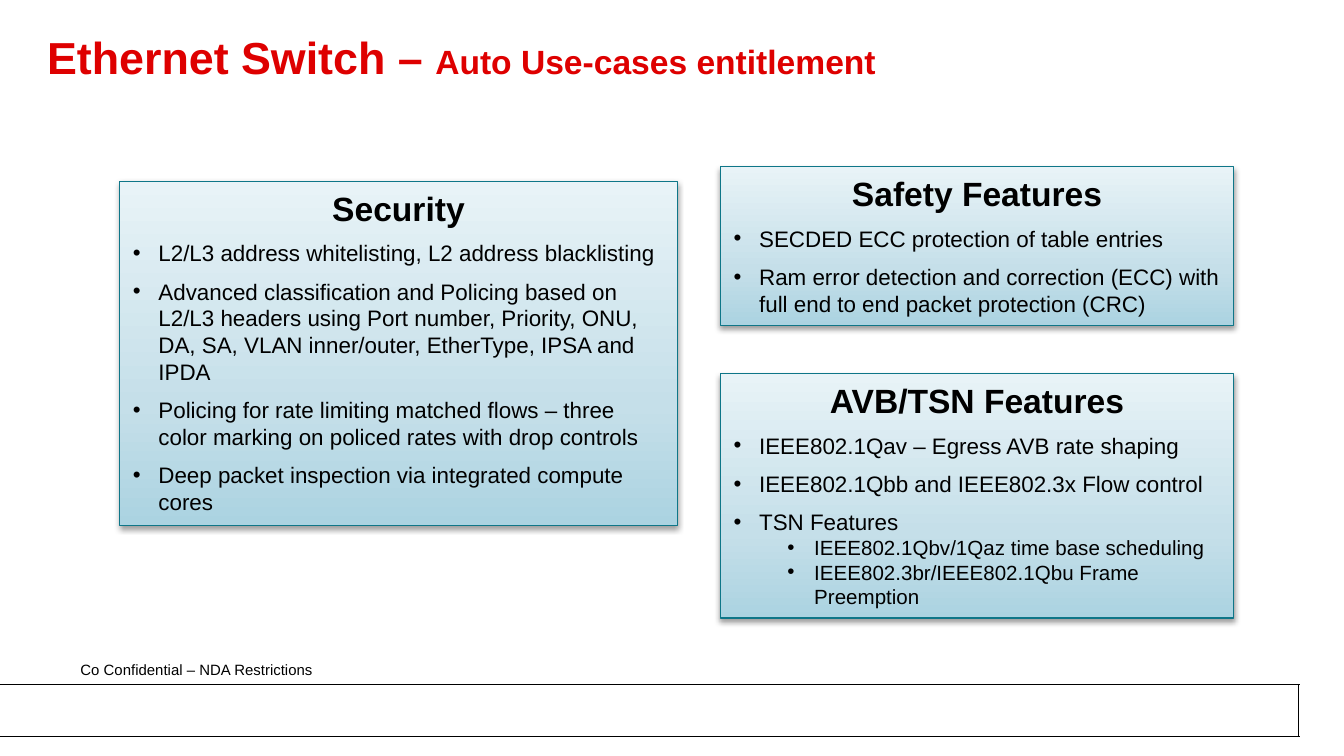
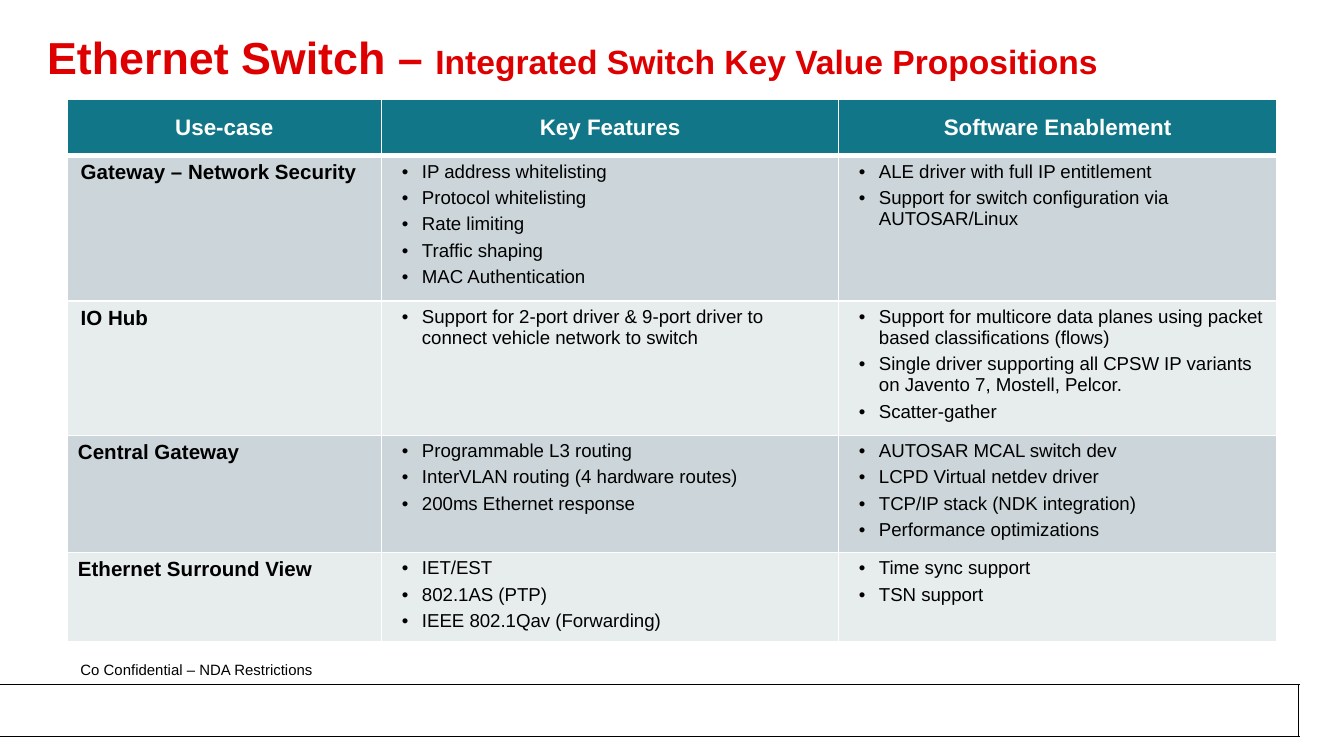
from copy import deepcopy

from pptx import Presentation
from pptx.dml.color import RGBColor
from pptx.enum.shapes import MSO_CONNECTOR as Connector, MSO_SHAPE as Shape
from pptx.enum.text import MSO_ANCHOR as Anchor, MSO_AUTO_SIZE as AutoSize, PP_ALIGN as Align
from pptx.oxml.ns import qn
from pptx.oxml.xmlchemy import OxmlElement
from pptx.util import Inches, Pt

COLORS = {
    "title": "DE0000", "text": "000000", "white": "FFFFFF", "edge": "0E7688",
    "header": "117788", "odd": "CCD6DA", "even": "E7ECED",
}
GRADIENT = [(0, "ABD3E1"), (0.35, "C5DFE9"), (1, "E8F3F7")]
FONT = "Arial"
TITLE = "Ethernet Switch – "
FOOTER = "Co Confidential – NDA Restrictions"
BANDS = [(0.05, 5.19, 9.56, 0.38), (0, 5.09, 9.66, 0.38)]
RULES = [(-0.04, 5.48, 9.67, 5.48), (-0.04, 5.09, 9.67, 5.09), (9.66, 5.48, 9.66, 5.09)]

BULLETS = {
    "item": {"size": 12, "left": 0.19, "hang": 0.19, "before": 6},
    "detail": {"size": 11, "left": 0.6, "hang": 0.2, "before": 0},
    "cell": {"size": 10, "left": 0.2, "hang": 0.15, "before": 3},
}

USE_CASES = "Auto Use-cases entitlement"
PANELS = [
    ("Security", (0.89, 1.35, 4.15, 2.56), [
        ("item", "L2/L3 address whitelisting, L2 address blacklisting"),
        ("item", "Advanced classification and Policing based on L2/L3 headers using Port number, "
                 "Priority, ONU, DA, SA, VLAN inner/outer, EtherType, IPSA and IPDA"),
        ("item", "Policing for rate limiting matched flows – three color marking on policed rates "
                 "with drop controls"),
        ("item", "Deep packet inspection via integrated compute cores"),
    ]),
    ("AVB/TSN Features", (5.36, 2.78, 3.82, 1.82), [
        ("item", "IEEE802.1Qav – Egress AVB rate shaping"),
        ("item", "IEEE802.1Qbb and IEEE802.3x Flow control"),
        ("item", "TSN Features"),
        ("detail", "IEEE802.1Qbv/1Qaz time base scheduling"),
        ("detail", "IEEE802.3br/IEEE802.1Qbu Frame Preemption"),
    ]),
    ("Safety Features", (5.36, 1.24, 3.82, 1.18), [
        ("item", "SECDED ECC protection of table entries"),
        ("item", "Ram error detection and correction (ECC) with full end to end packet "
                 "protection (CRC)"),
    ]),
]

PROPOSITIONS = "Integrated Switch Key Value Propositions"
TABLE_AREA = (0.5, 0.74, 9, 2.73)
COLUMN_WIDTHS = [2.34, 3.4, 3.26]
ROW_HEIGHTS = [0.42, 0.82, 0.72, 0.35, 0.42]
HEADINGS = ["Use-case", "Key Features", "Software Enablement"]
ROWS = [
    ("Gateway – Network Security", 0.1,
     ["IP address whitelisting", "Protocol whitelisting", "Rate limiting", "Traffic shaping",
      "MAC Authentication"],
     ["ALE driver with full IP entitlement",
      "Support for switch configuration via AUTOSAR/Linux"]),
    ("IO Hub", 0.1,
     ["Support for 2-port driver & 9-port driver to connect vehicle network to switch"],
     ["Support for multicore data planes using packet based classifications (flows)",
      "Single driver supporting all CPSW IP variants on Javento 7, Mostell, Pelcor.",
      "Scatter-gather"]),
    ("Central Gateway", 0.08,
     ["Programmable L3 routing", "InterVLAN routing (4 hardware routes)",
      "200ms Ethernet response"],
     ["AUTOSAR MCAL switch dev", "LCPD Virtual netdev driver",
      "TCP/IP stack (NDK integration)", "Performance optimizations"]),
    ("Ethernet Surround View", 0.08,
     ["IET/EST", "802.1AS (PTP)", "IEEE 802.1Qav (Forwarding)"],
     ["Time sync support", "TSN support"]),
]


def inches(values):
    return [Inches(value) for value in values]


def color(name):
    return RGBColor.from_string(COLORS[name])


def assign(target, values):
    for name, value in values.items():
        setattr(target, name, value)


def child(parent, tag, **attributes):
    element = OxmlElement(tag)
    for name, value in attributes.items():
        element.set(name, str(value))
    parent.append(element)
    return element


def add_span(para, text, size, tint="text", bold=False):
    span = para.add_run()
    span.text = text
    assign(span.font, {"name": FONT, "size": Pt(size), "bold": bold})
    span.font.color.rgb = color(tint)


def next_para(frame):
    first = frame.paragraphs[0]
    return frame.add_paragraph() if first.runs else first


def add_bullet(frame, kind, text):
    style = BULLETS[kind]
    para = next_para(frame)
    properties = para._p.get_or_add_pPr()
    properties.set("marL", str(Inches(style["left"])))
    properties.set("indent", str(-Inches(style["hang"])))
    child(properties, "a:buFont", typeface=FONT)
    child(properties, "a:buChar", char="•")
    para.alignment = Align.LEFT
    if para._p is not frame.paragraphs[0]._p:
        para.space_before = Pt(style["before"])
    add_span(para, text, style["size"])


def add_frame(page, subtitle):
    for area in BANDS:
        band = page.shapes.add_shape(Shape.RECTANGLE, *inches(area))
        band.shadow.inherit = False
        band.fill.solid()
        band.fill.fore_color.rgb = color("white")
        band.line.fill.background()
    for ends in RULES:
        rule = page.shapes.add_connector(Connector.STRAIGHT, *inches(ends))
        rule.line.color.rgb = color("text")
        rule.line.width = Pt(0.25)
        child(rule._element.spPr, "a:effectLst")
    footer = page.shapes.add_textbox(*inches((0.5, 4.87, 2.77, 0.24))).text_frame
    assign(footer, {"word_wrap": True, "auto_size": AutoSize.SHAPE_TO_FIT_TEXT})
    add_span(footer.paragraphs[0], FOOTER, 8)

    title = page.shapes.title
    assign(title, dict(zip(("left", "top", "width", "height"), inches((0.25, 0.12, 9.25, 0.67)))))
    assign(title.text_frame, {"vertical_anchor": Anchor.MIDDLE, "auto_size": AutoSize.NONE,
                              "word_wrap": True})
    para = title.text_frame.paragraphs[0]
    assign(para, {"alignment": Align.LEFT, "line_spacing": 0.85})
    add_span(para, TITLE, 24, "title", True)
    add_span(para, subtitle, 18, "title", True)


def paint_panel(box):
    box.fill.gradient()
    box.fill.gradient_angle = 90
    stops = box._element.spPr.find(qn("a:gradFill")).find(qn("a:gsLst"))
    stops.append(deepcopy(stops[-1]))
    for stop, (position, tint) in zip(box.fill.gradient_stops, GRADIENT):
        stop.position = position
        stop.color.rgb = RGBColor.from_string(tint)
    box.line.color.rgb = color("edge")
    box.line.width = Pt(0.75)
    box.shadow.inherit = False
    effects = box._element.spPr.find(qn("a:effectLst"))
    shadow = child(effects, "a:outerShdw", blurRad=Pt(3.1), dist=Pt(1.6), dir=90 * 60000,
                   rotWithShape=0)
    child(child(shadow, "a:srgbClr", val=COLORS["text"]), "a:alpha", val=38000)


def add_panel(page, heading, area, items):
    box = page.shapes.add_shape(Shape.RECTANGLE, *inches(area))
    paint_panel(box)
    frame = box.text_frame
    assign(frame, {"word_wrap": True, "vertical_anchor": Anchor.TOP,
                   "auto_size": AutoSize.SHAPE_TO_FIT_TEXT})
    para = frame.paragraphs[0]
    para.alignment = Align.CENTER
    add_span(para, heading, 18, bold=True)
    for kind, text in items:
        add_bullet(frame, kind, text)


def format_cell(cell, tint, side=0.1, top=1, bottom=1):
    assign(cell, {"margin_left": Inches(side), "margin_right": Inches(side),
                  "margin_top": Inches(0.04), "margin_bottom": Inches(0.04)})
    properties = cell._tc.get_or_add_tcPr()
    for edge, width in (("L", 1), ("R", 1), ("T", top), ("B", bottom)):
        line = child(properties, f"a:ln{edge}", w=Pt(width))
        child(child(line, "a:solidFill"), "a:srgbClr", val=COLORS["white"])
    cell.fill.solid()
    cell.fill.fore_color.rgb = color(tint)


def add_features_table(page):
    holder = page.shapes.add_table(len(ROW_HEIGHTS), len(COLUMN_WIDTHS), *inches(TABLE_AREA))
    table = holder.table
    for column, width in zip(table.columns, COLUMN_WIDTHS):
        column.width = Inches(width)
    for row, height in zip(table.rows, ROW_HEIGHTS):
        row.height = Inches(height)

    for index, heading in enumerate(HEADINGS):
        cell = table.cell(0, index)
        format_cell(cell, "header", bottom=3)
        cell.vertical_anchor = Anchor.MIDDLE
        para = cell.text_frame.paragraphs[0]
        para.alignment = Align.CENTER
        add_span(para, heading, 12, "white", True)

    for number, (use_case, side, *lists) in enumerate(ROWS, 1):
        tint = "odd" if number % 2 else "even"
        top = 3 if number == 1 else 1
        cell = table.cell(number, 0)
        format_cell(cell, tint, side, top)
        add_span(cell.text_frame.paragraphs[0], use_case, 11, bold=True)
        for index, items in enumerate(lists, 1):
            cell = table.cell(number, index)
            format_cell(cell, tint, top=top)
            for item in items:
                add_bullet(cell.text_frame, "cell", item)


def main():
    deck = Presentation()
    deck.slide_width = Inches(10)
    deck.slide_height = deck.slide_width * 9 // 16
    layout = deck.slide_layouts[5]

    page = deck.slides.add_slide(layout)
    add_frame(page, USE_CASES)
    for panel in PANELS:
        add_panel(page, *panel)

    page = deck.slides.add_slide(layout)
    add_frame(page, PROPOSITIONS)
    add_features_table(page)

    deck.save("out.pptx")


if __name__ == "__main__":
    main()
